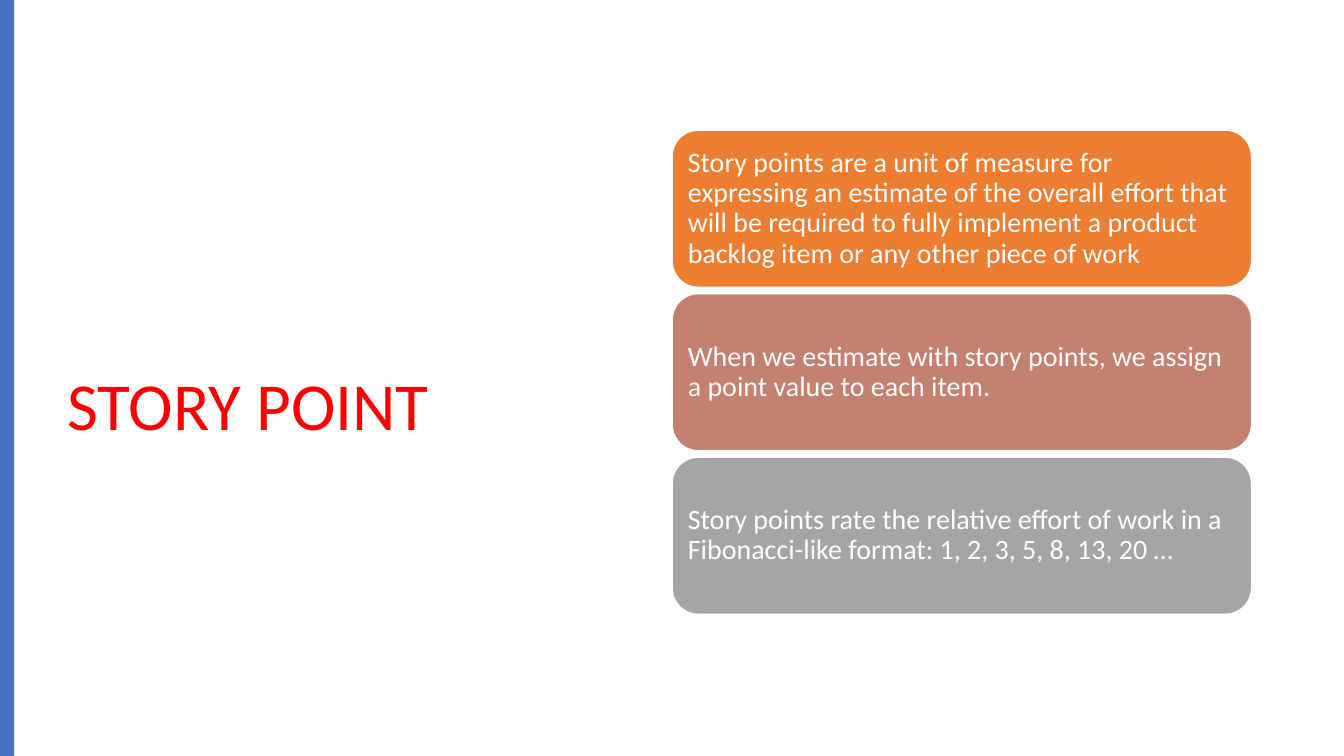
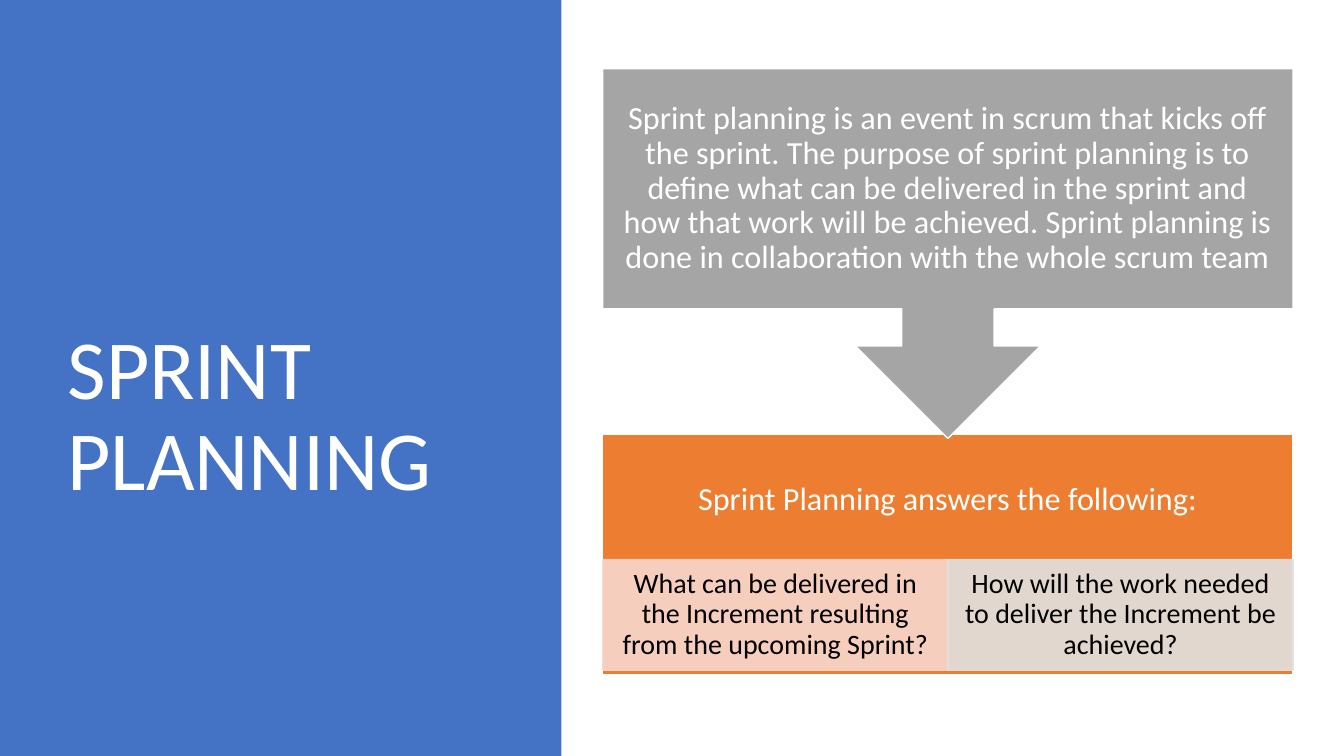
from dataclasses import dataclass

from lxml.etree import SubElement
from pptx import Presentation
from pptx.dml.color import RGBColor
from pptx.enum.shapes import MSO_SHAPE as Preset
from pptx.enum.text import MSO_ANCHOR as Anchor, MSO_AUTO_SIZE as AutoSize, PP_ALIGN as Align
from pptx.oxml.ns import qn
from pptx.presentation import Presentation as Deck
from pptx.shapes.autoshape import Shape
from pptx.slide import Slide
from pptx.text.text import TextFrame
from pptx.util import Cm, Pt

BLUE = RGBColor(0x44, 0x72, 0xC4)
ORANGE = RGBColor(0xED, 0x7D, 0x31)
ROSE = RGBColor(0xC4, 0x81, 0x70)
GRAY = RGBColor(0xA5, 0xA5, 0xA5)
PALE_ORANGE = RGBColor(0xF8, 0xD7, 0xCE)
PALE_GRAY = RGBColor(0xE1, 0xE1, 0xE1)
WHITE = RGBColor(0xFF, 0xFF, 0xFF)
BLACK = RGBColor(0, 0, 0)
RED = RGBColor(0xFF, 0, 0)

FONT = "Calibri"
LINE_SPACING = 0.9
SLIDE_WIDTH, SLIDE_HEIGHT = 33.87, 19.05
TITLE_LEFT, TITLE_TOP, TITLE_HEIGHT = 1.45, 1.73, 15.29


@dataclass(frozen=True)
class Insets:
    left: float
    top: float
    right: float
    bottom: float


@dataclass(frozen=True)
class TextStyle:
    size: float
    color: RGBColor
    align: Align
    insets: Insets


@dataclass(frozen=True)
class Heading:
    text: str
    size: float
    color: RGBColor
    width: float
    top_inset: float
    band_width: float


@dataclass(frozen=True)
class Box:
    preset: Preset
    left: float
    top: float
    width: float
    height: float
    fill: RGBColor
    text: str
    style: TextStyle
    line: RGBColor = WHITE
    opacity: int = 100


def write_text(frame: TextFrame, text: str, style: TextStyle) -> None:
    frame.text = text
    frame.word_wrap = True
    frame.auto_size = AutoSize.NONE
    frame.vertical_anchor = Anchor.MIDDLE
    frame.margin_left = Cm(style.insets.left)
    frame.margin_top = Cm(style.insets.top)
    frame.margin_right = Cm(style.insets.right)
    frame.margin_bottom = Cm(style.insets.bottom)
    paragraph = frame.paragraphs[0]
    paragraph.alignment = style.align
    paragraph.line_spacing = LINE_SPACING
    font = paragraph.runs[0].font
    font.name = FONT
    font.size = Pt(style.size)
    font.color.rgb = style.color


def add_panel(slide: Slide, preset: Preset, left: float, top: float,
              width: float, height: float, fill: RGBColor) -> Shape:
    shape = slide.shapes.add_shape(preset, Cm(left), Cm(top), Cm(width), Cm(height))
    shape.shadow.inherit = False
    shape.fill.solid()
    shape.fill.fore_color.rgb = fill
    shape.line.fill.background()
    return shape


def set_opacity(shape: Shape, percent: int) -> None:
    for color in shape.element.spPr.iter(qn("a:srgbClr")):
        SubElement(color, qn("a:alpha")).set("val", str(percent * 1000))


def add_box(slide: Slide, box: Box) -> None:
    shape = add_panel(slide, box.preset, box.left, box.top, box.width, box.height, box.fill)
    shape.line.color.rgb = box.line
    shape.line.width = Pt(1)
    if box.opacity < 100:
        set_opacity(shape, box.opacity)
    write_text(shape.text_frame, box.text, box.style)


def add_titled_slide(presentation: Deck, heading: Heading) -> Slide:
    slide = presentation.slides.add_slide(presentation.slide_layouts.get_by_name("Title Only"))
    add_panel(slide, Preset.RECTANGLE, 0, 0, heading.band_width, SLIDE_HEIGHT, BLUE)
    title = slide.shapes.title
    title.left, title.top = Cm(TITLE_LEFT), Cm(TITLE_TOP)
    title.width, title.height = Cm(heading.width), Cm(TITLE_HEIGHT)
    insets = Insets(0.25, heading.top_inset, 0.25, 0.13)
    write_text(title.text_frame, heading.text,
               TextStyle(heading.size, heading.color, Align.LEFT, insets))
    title.element.getparent().append(title.element)
    return slide


def build_story_point(presentation: Deck) -> None:
    slide = add_titled_slide(presentation, Heading("STORY POINT", 48, RED, 14.4, 1.98, 0.36))
    card_style = TextStyle(20, WHITE, Align.LEFT, Insets(0.2, 0.2, 0.2, 0.2))
    first_top, height, gap = 3.28, 3.96, 0.16
    cards = (
        (ORANGE, "Story points are a unit of measure for expressing an estimate of the overall "
                 "effort that will be required to fully implement a product backlog item or any "
                 "other piece of work"),
        (ROSE, "When we estimate with story points, we assign a point value to each item."),
        (GRAY, "Story points\u00a0rate the relative effort of work in a Fibonacci-like format: "
               "1, 2, 3, 5, 8, 13, 20 \u2026"),
    )
    for index, (fill, text) in enumerate(cards):
        top = first_top + index * (height + gap)
        add_box(slide, Box(Preset.ROUNDED_RECTANGLE, 16.94, top, 14.6, height,
                           fill, text, card_style))


def build_sprint_planning(presentation: Deck) -> None:
    slide = add_titled_slide(presentation,
                             Heading("SPRINT PLANNING", 60, WHITE, 10.57, 2.44, 14.15))
    left, width = 15.19, 17.4
    callout_style = TextStyle(23, WHITE, Align.CENTER, Insets(0.45, 0.45, 0.45, 0.45))
    question_style = TextStyle(23, WHITE, Align.CENTER, Insets(0.45, 0.45, 0.45, 3.22))
    answer_style = TextStyle(20, BLACK, Align.CENTER, Insets(0.41, 0.08, 0.41, 0.08))

    add_box(slide, Box(Preset.RECTANGLE, left, 10.95, width, 6.05, ORANGE,
                       "Sprint Planning answers the following:", question_style))
    answers = (
        (PALE_ORANGE, "What can be delivered in the Increment resulting from the upcoming Sprint?"),
        (PALE_GRAY, "How will the work needed to deliver the Increment be achieved?"),
    )
    answer_width = width / len(answers)
    for index, (fill, text) in enumerate(answers):
        add_box(slide, Box(Preset.RECTANGLE, left + index * answer_width, 14.1, answer_width, 2.79,
                           fill, text, answer_style, line=fill, opacity=90))
    add_box(slide, Box(Preset.DOWN_ARROW_CALLOUT, left, 1.73, width, 9.32, GRAY,
                       "Sprint planning is an event in scrum that kicks off the sprint. The purpose "
                       "of sprint planning is to define what can be delivered in the sprint and how "
                       "that work will be achieved. Sprint planning is done in collaboration with "
                       "the whole scrum team", callout_style))


def main() -> None:
    presentation = Presentation()
    presentation.slide_width, presentation.slide_height = Cm(SLIDE_WIDTH), Cm(SLIDE_HEIGHT)
    build_story_point(presentation)
    build_sprint_planning(presentation)
    presentation.save("out.pptx")


main()
